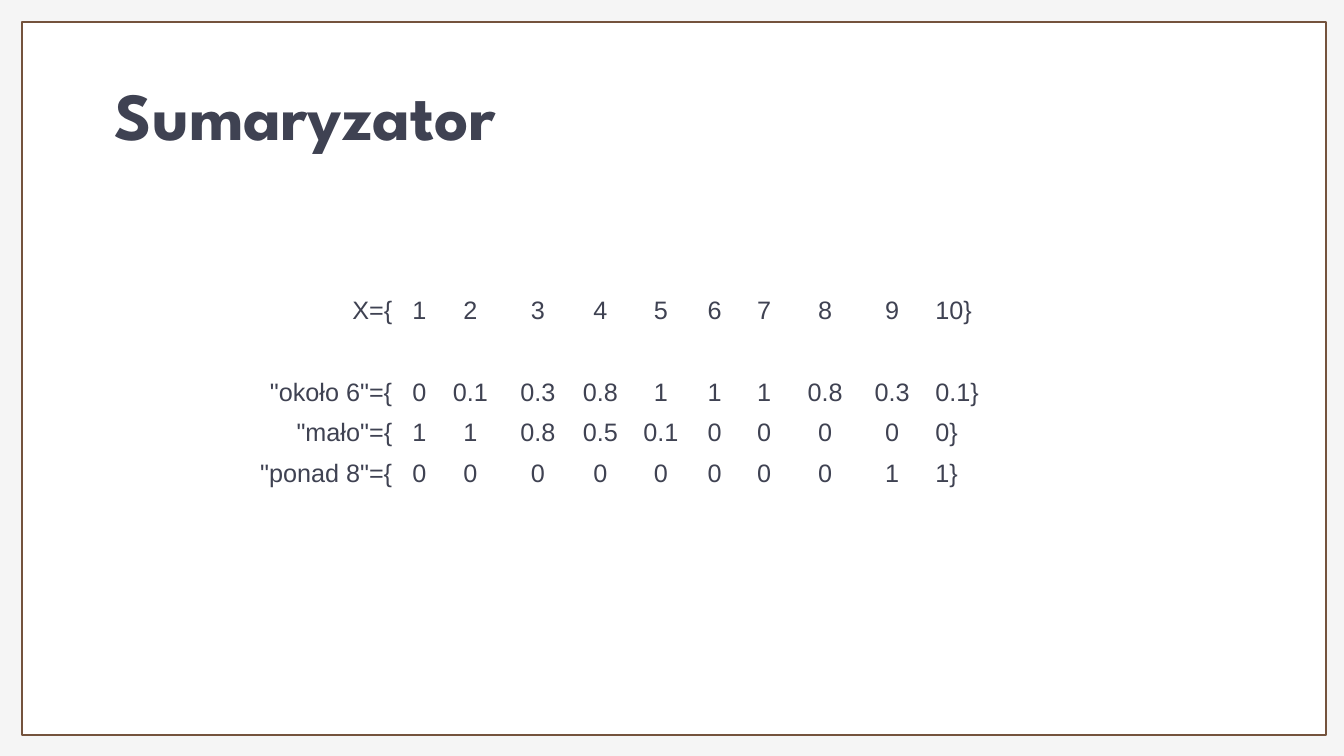
from pptx import Presentation
from pptx.dml.color import RGBColor
from pptx.enum.shapes import MSO_SHAPE
from pptx.enum.text import MSO_ANCHOR, PP_ALIGN
from pptx.util import Inches, Pt

COLORS = {"background": "F5F5F5", "panel": "FFFFFF", "border": "74533D", "text": "3F4252"}
COLUMN_WIDTHS = [1.66, 0.34, 0.67, 0.67, 0.57, 0.63, 0.44, 0.54, 0.67, 0.66, 0.77]
# Each fuzzy set: label and membership values; None leaves an empty row
FUZZY_SETS = [
    ("X", "1 2 3 4 5 6 7 8 9 10"),
    None,
    ('"około 6"', "0 0.1 0.3 0.8 1 1 1 0.8 0.3 0.1"),
    ('"mało"', "1 1 0.8 0.5 0.1 0 0 0 0 0"),
    ('"ponad 8"', "0 0 0 0 0 0 0 0 1 1"),
]


def rgb(name):
    return RGBColor.from_string(COLORS[name])


def set_font(p, name, size, bold=False):
    p.font.name = name
    p.font.size = Pt(size)
    p.font.bold = bold
    p.font.color.rgb = rgb("text")


def add_frame(s, left, top, width, height):
    s.background.fill.solid()
    s.background.fill.fore_color.rgb = rgb("background")
    sp = s.shapes.add_shape(MSO_SHAPE.RECTANGLE, Inches(left), Inches(top),
                            Inches(width), Inches(height))
    sp.shadow.inherit = False
    sp.fill.solid()
    sp.fill.fore_color.rgb = rgb("panel")
    sp.line.color.rgb = rgb("border")
    sp.line.width = Pt(1.5)
    # Send behind the title placeholder
    s.shapes._spTree.insert(2, sp._element)


def add_title(s, text, left, top, width, height):
    sp = s.shapes.title
    sp.left, sp.top = Inches(left), Inches(top)
    sp.width, sp.height = Inches(width), Inches(height)
    tf = sp.text_frame
    tf.word_wrap = True
    tf.vertical_anchor = MSO_ANCHOR.MIDDLE
    tf.margin_left = tf.margin_right = tf.margin_top = tf.margin_bottom = Inches(0.1)
    tf.text = text
    p = tf.paragraphs[0]
    p.alignment = PP_ALIGN.LEFT
    set_font(p, "League Spartan", 48, bold=True)


def row_texts(fuzzy_set):
    if fuzzy_set is None:
        return [""] * len(COLUMN_WIDTHS)
    label, values = fuzzy_set
    return [label + "={"] + (values + "}").split()


def add_set_table(s, left, top, height):
    table = s.shapes.add_table(len(FUZZY_SETS), len(COLUMN_WIDTHS), Inches(left), Inches(top),
                               Inches(sum(COLUMN_WIDTHS)), Inches(height)).table
    table.first_row = table.horz_banding = False
    for column, width in zip(table.columns, COLUMN_WIDTHS):
        column.width = Inches(width)
    # Labels to the right, values centred, closing values to the left
    middle = [PP_ALIGN.CENTER] * (len(COLUMN_WIDTHS) - 2)
    alignments = [PP_ALIGN.RIGHT, *middle, PP_ALIGN.LEFT]
    for row, fuzzy_set in zip(table.rows, FUZZY_SETS):
        for cell, text, alignment in zip(row.cells, row_texts(fuzzy_set), alignments):
            cell.fill.background()
            cell.text = text
            p = cell.text_frame.paragraphs[0]
            p.alignment = alignment
            set_font(p, "Arial", 18)


def main():
    prs = Presentation()
    prs.slide_width, prs.slide_height = Inches(13.33), Inches(7.5)
    s = prs.slides.add_slide(prs.slide_layouts[5])
    add_frame(s, 0.22, 0.22, 12.93, 7.07)
    add_title(s, "Sumaryzator", 1.04, 0.56, 11.13, 1.13)
    add_set_table(s, 2.33, 2.89, 2.03)
    prs.save("out.pptx")


if __name__ == "__main__":
    main()
